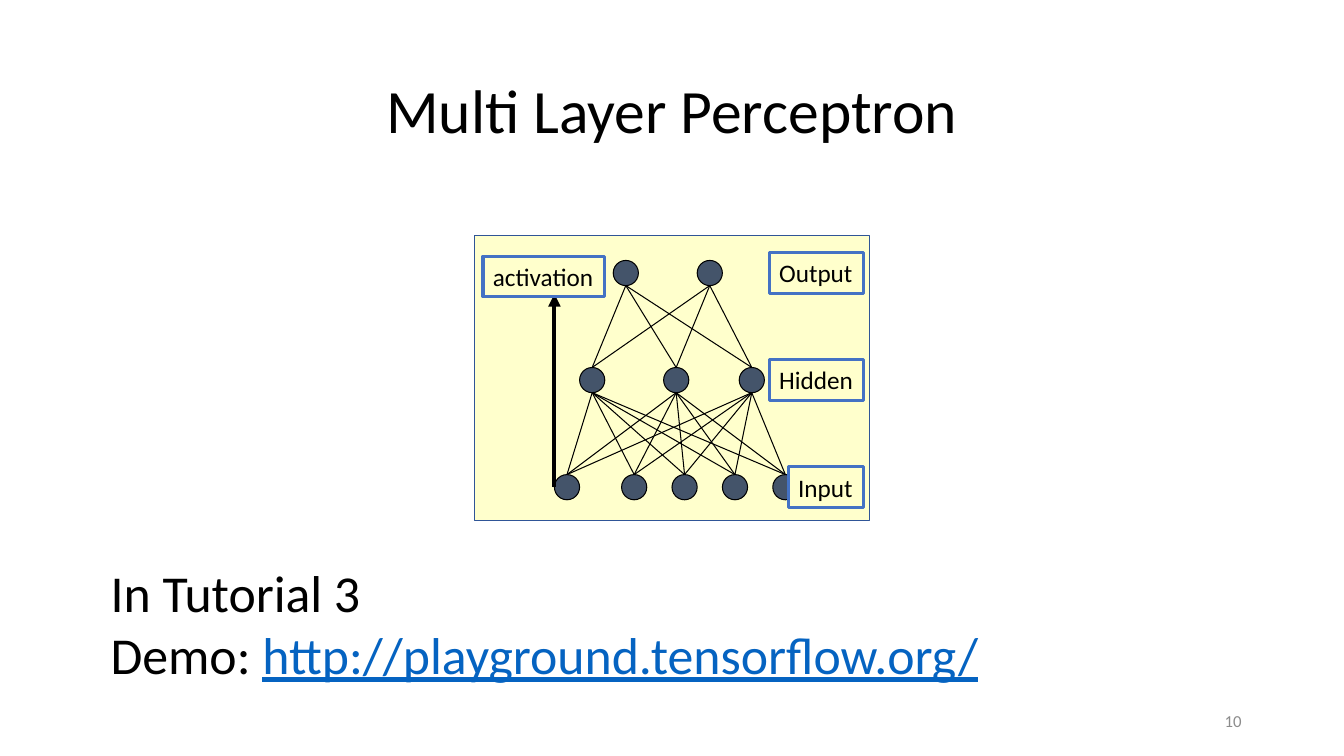
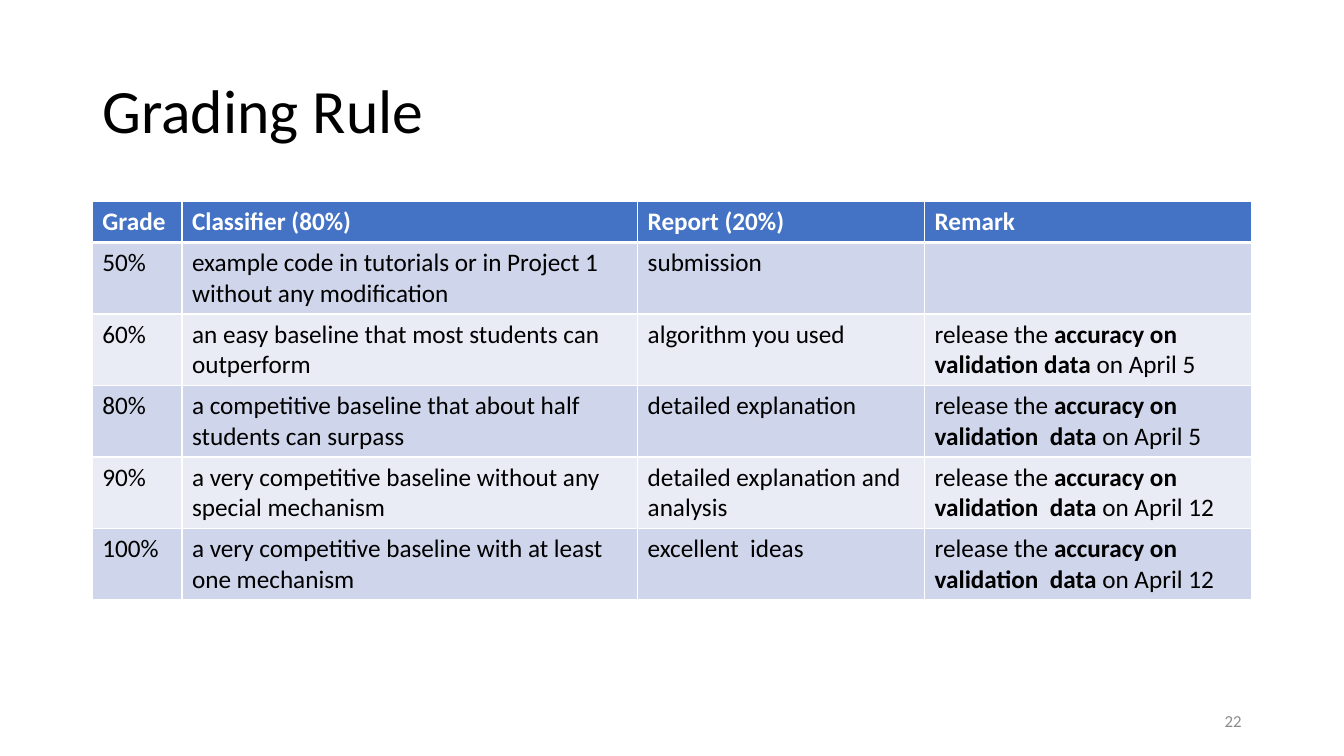
"""Build two lecture slides: a layered network diagram and a grading table."""
import pptx
import pptx.dml.color
import pptx.enum.shapes
import pptx.enum.text
import pptx.oxml
import pptx.oxml.ns
import pptx.util
from lxml import etree

Pt = pptx.util.Pt
ALIGN = pptx.enum.text.PP_ALIGN
ANCHOR = pptx.enum.text.MSO_ANCHOR
FIT = pptx.enum.text.MSO_AUTO_SIZE
SHAPE = pptx.enum.shapes.MSO_SHAPE

BLACK, WHITE, BLUE, NAVY = "000000", "FFFFFF", "4472C4", "2F5597"
SLATE, CREAM, GREY, LINK = "44546A", "FFFFCC", "8C8C8C", "0563C1"
BANDS = ("E9EBF5", "CFD5EA")


def color(value):
    return pptx.dml.color.RGBColor.from_string(value)


def qn(tag):
    return pptx.oxml.ns.qn(tag)


class Slides:
    def __init__(self):
        self.deck = pptx.Presentation()
        self.deck.slide_width, self.deck.slide_height = Pt(960), Pt(540)
        self.shapes = None

    def page(self, title, number, align=ALIGN.LEFT):
        page = self.deck.slides.add_slide(self.deck.slide_layouts[5])
        self.shapes = page.shapes
        box = page.shapes.title
        box.left, box.top, box.width, box.height = Pt(66), Pt(29), Pt(828), Pt(104)
        frame = box.text_frame
        frame.auto_size = FIT.NONE
        frame.vertical_anchor = ANCHOR.MIDDLE
        para = frame.paragraphs[0]
        self.fill_para(para, title, 44, align=align)
        para.line_spacing = 0.9
        footer = self.text(number, 678, 500.5, 216, 28.5, 12, GREY, ALIGN.RIGHT)
        footer.text_frame.vertical_anchor = ANCHOR.MIDDLE

    def fill_para(self, para, words, size, ink=BLACK, align=ALIGN.LEFT, bold=False):
        para.alignment = align
        font = para.font
        font.name, font.size, font.bold = "Calibri", Pt(size), bold
        font.color.rgb = color(ink)
        spans = []
        for part in words.split("*"):
            span = para.add_run()
            span.text = part
            spans.append(span)
        return spans

    def text(self, words, left, top, width, height, size, ink=BLACK, align=ALIGN.LEFT):
        box = self.shapes.add_textbox(Pt(left), Pt(top), Pt(width), Pt(height))
        box.text_frame.word_wrap = True
        self.fill_para(box.text_frame.paragraphs[0], words, size, ink, align)
        return box

    def paint(self, shape, fill, line, weight):
        shape.fill.solid()
        shape.fill.fore_color.rgb = color(fill)
        shape.line.color.rgb = color(line)
        shape.line.width = Pt(weight)

    def shape(self, kind, left, top, width, height, fill, line, weight):
        shape = self.shapes.add_shape(kind, Pt(left), Pt(top), Pt(width), Pt(height))
        shape.shadow.inherit = False
        self.paint(shape, fill, line, weight)

    def label(self, words, right, top, width):
        box = self.text(words, right - width, top, width, 29, 18)
        box.text_frame.word_wrap = False
        box.text_frame.auto_size = FIT.SHAPE_TO_FIT_TEXT
        self.paint(box, CREAM, BLUE, 2.25)

    def line(self, start, end, weight=0.75, arrow=False):
        line = self.shapes.add_connector(
            pptx.enum.shapes.MSO_CONNECTOR.STRAIGHT, *map(Pt, start + end))
        line.line.color.rgb = color(BLACK)
        line.line.width = Pt(weight)
        properties = line._element.spPr
        if arrow:
            etree.SubElement(properties.find(qn("a:ln")), qn("a:tailEnd"), type="triangle")
        etree.SubElement(properties, qn("a:effectLst"))

    def network(self, layers, size, top, step):
        for row, layer in enumerate(layers):
            for left in layer:
                self.shape(SHAPE.OVAL, left, top + row * step, size, size, SLATE, BLACK, 0.75)
        for row, (upper, lower) in enumerate(zip(layers, layers[1:])):
            start, end = top + row * step + size, top + (row + 1) * step
            for source in upper:
                for target in lower:
                    self.line((source + size / 2, start), (target + size / 2, end))

    def cell(self, cell, words, row):
        header = row == 0
        spans = self.fill_para(cell.text_frame.paragraphs[0], words, 18,
                               WHITE if header else BLACK, bold=header)
        for span in spans[1::2]:
            span.font.bold = True
        cell.fill.solid()
        cell.fill.fore_color.rgb = color(BLUE if header else BANDS[row % 2])
        weights = {"L": 1, "R": 1, "T": 3 if row == 1 else 1, "B": 3 if header else 1}
        for place, (side, weight) in enumerate(weights.items()):
            border = etree.Element(qn("a:ln" + side), w=str(int(Pt(weight))))
            fill = etree.SubElement(border, qn("a:solidFill"))
            etree.SubElement(fill, qn("a:srgbClr"), val=WHITE)
            cell._tc.get_or_add_tcPr().insert(place, border)

    def table(self, rows, left, top, widths, heights):
        table = self.shapes.add_table(len(rows), len(widths), Pt(left), Pt(top),
                                      Pt(sum(widths)), Pt(sum(heights))).table
        table.horz_banding = False
        for column, width in zip(table.columns, widths):
            column.width = Pt(width)
        for index, (words, height) in enumerate(zip(rows, heights)):
            table.rows[index].height = Pt(height)
            for column, word in enumerate(words):
                self.cell(table.cell(index, column), word, index)


def perceptron(slides):
    slides.page("Multi Layer Perceptron", "10", ALIGN.CENTER)
    page_shapes = slides.shapes
    slides.shapes = page_shapes.add_group_shape().shapes
    top, step = 186, 76.5
    slides.shape(SHAPE.RECTANGLE, 339, 168, 282, 204, CREAM, NAVY, 1)
    layers = ((438, 498), (414, 474, 528), (396, 444, 480, 516, 552))
    slides.network(layers, 18, top, step)
    slides.line((396, 348), (396, 210), 3, arrow=True)
    slides.label("activation", 432, 183, 87)
    for row, (name, width) in enumerate((("Output", 67.5), ("Hidden", 67.5), ("Input", 54))):
        slides.label(name, 617, top - 5.5 + row * step, width)
    slides.shapes = page_shapes
    frame = slides.text("In Tutorial 3", 72, 397, 822, 97, 37).text_frame
    spans = slides.fill_para(frame.add_paragraph(),
                             "Demo: *http://playground.tensorflow.org/", 37)
    spans[1].font.color.rgb = color(LINK)
    spans[1].font.underline = True


def grading(slides):
    slides.page("Grading Rule", "22")
    remark = "release the *accuracy on validation  data* on April "
    rows = (
        ("Grade", "Classifier (80%)", "Report (20%)", "Remark"),
        ("50%", "example code in tutorials or in Project 1 without any modification",
         "submission", ""),
        ("60%", "an easy baseline that most students can outperform",
         "algorithm you used", remark.replace("  ", " ") + "5"),
        ("80%", "a competitive baseline that about half students can surpass",
         "detailed explanation", remark + "5"),
        ("90%", "a very competitive baseline without any special mechanism",
         "detailed explanation and analysis", remark + "12"),
        ("100%", "a very competitive baseline with at least one mechanism",
         "excellent  ideas", remark + "12"),
    )
    slides.table(rows, 66, 144, (64, 325.5, 205, 233.5), [29.2] + [51.1] * 5)


def main():
    slides = Slides()
    perceptron(slides)
    grading(slides)
    slides.deck.save("out.pptx")


if __name__ == "__main__":
    main()
